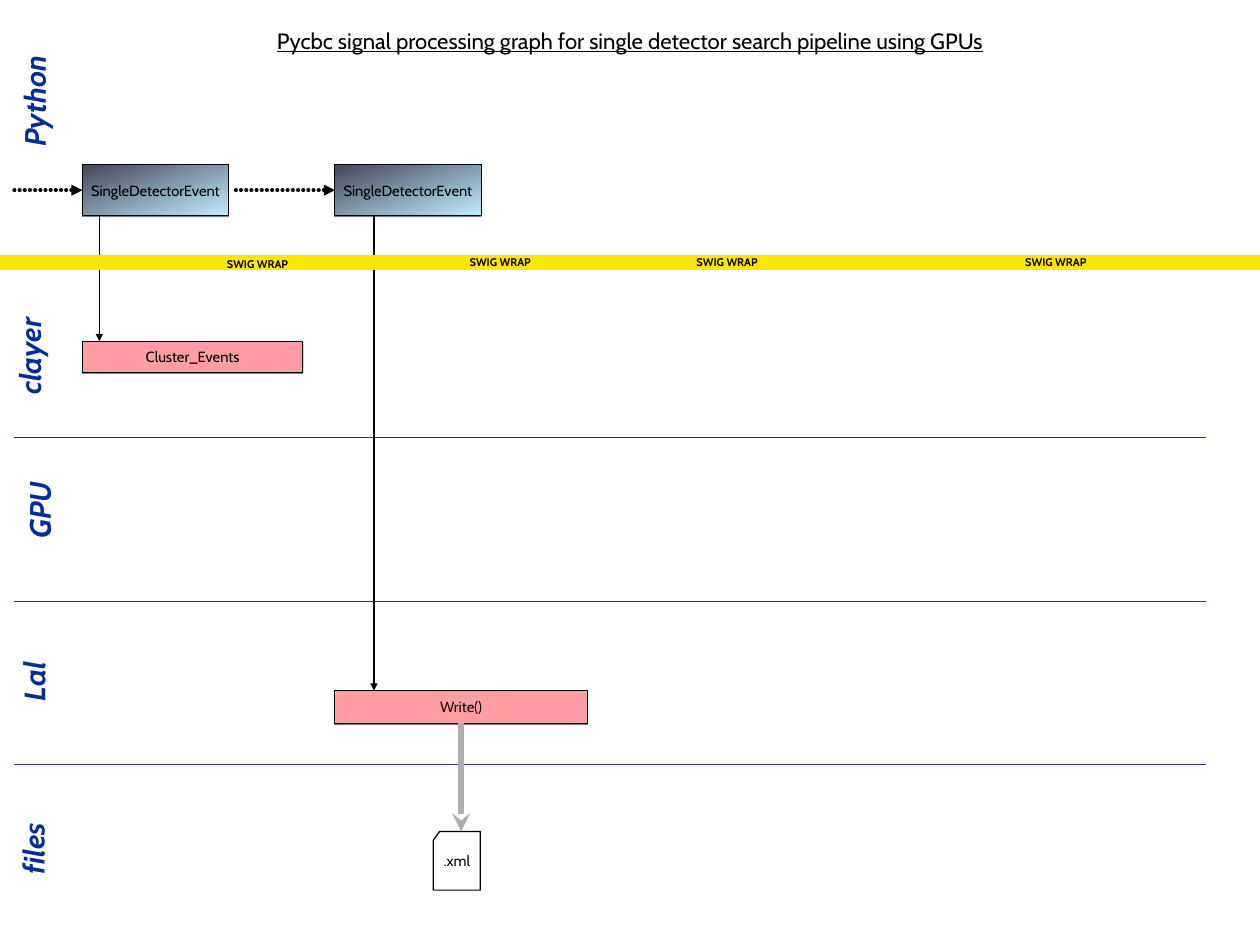
from lxml import etree
from pptx import Presentation
from pptx import util as u
from pptx.dml.color import RGBColor
from pptx.enum import shapes, text
from pptx.oxml import ns

COLS, ROWS = 100, 75


def color(code):
    return RGBColor.from_string(code)


def node(up, tag, **attrs):
    return etree.SubElement(up, ns.qn("a:" + tag), attrs)


class Chart:
    font = "Cabin"
    ink = "000000"
    navy = "002D99"
    rule = "302BB3"
    pink = "FF9CA4"
    grey = "AFAFAF"
    gold = "FFE800"
    fade = ("C0EDFE", "464658")

    def __init__(self, deck):
        self.deck = deck
        self.slide = deck.slides.add_slide(deck.slide_layouts[5])
        self.items = self.slide.shapes

    def x(self, cols):
        return u.Emu(round(self.deck.slide_width * cols / COLS))

    def y(self, rows):
        return u.Emu(round(self.deck.slide_height * rows / ROWS))

    def area(self, left, top, wide, high):
        return self.x(left), self.y(top), self.x(wide), self.y(high)

    def words(self, shape, words, size, tint=ink, anchor=text.MSO_ANCHOR.MIDDLE,
              bold=None, italic=None, under=None):
        frame = shape.text_frame
        frame.auto_size = text.MSO_AUTO_SIZE.NONE
        frame.word_wrap = True
        frame.vertical_anchor = anchor
        frame.margin_left = frame.margin_right = 0
        frame.margin_top = frame.margin_bottom = 0
        para = frame.paragraphs[0]
        para.alignment = text.PP_ALIGN.CENTER
        run = para.add_run()
        run.text = words
        font = run.font
        font.name = self.font
        font.size = u.Pt(size)
        font.color.rgb = color(tint)
        font.bold, font.italic, font.underline = bold, italic, under

    def title(self, words, *area):
        head = self.items.title
        head.left, head.top, head.width, head.height = self.area(*area)
        self.words(head, words, 18, anchor=text.MSO_ANCHOR.BOTTOM, under=True)

    def label(self, words, area, size, tint=ink, turn=0, italic=None):
        box = self.items.add_textbox(*self.area(*area))
        box.rotation = turn
        self.words(box, words, size, tint, bold=True, italic=italic)

    def layer(self, words, mid, row):
        wide, high = 11.25, 3
        self.label(words, (mid - wide / 2, row - high / 2, wide, high),
                   24, self.navy, 270, True)

    def box(self, words, *area, fade=False):
        box = self.items.add_shape(shapes.MSO_SHAPE.RECTANGLE, *self.area(*area))
        if fade:
            box.fill.gradient()
            box.fill.gradient_angle = 110
            for stop, code in zip(box.fill.gradient_stops, self.fade):
                stop.color.rgb = color(code)
        else:
            box.fill.solid()
            box.fill.fore_color.rgb = color(self.pink)
        box.line.color.rgb = color(self.ink)
        box.line.width = u.Pt(0.75)
        box.shadow.inherit = False
        glow = node(box._element.spPr.find(ns.qn("a:effectLst")), "outerShdw",
                    blurRad="0", dist="12700", dir="5400000", rotWithShape="0")
        node(node(glow, "srgbClr", val=self.ink), "alpha", val="50000")
        self.words(box, words, 12)
        return box

    def page(self, words, left, top, wide, high):
        fold, drop = 0.5, 0.7
        right, base = left + wide, top + high
        spots = [(left + fold, top), (right, top), (right, base), (left, base)]
        form = self.items.build_freeform(self.x(left), self.y(top + drop))
        form.add_line_segments([(self.x(a), self.y(b)) for a, b in spots])
        page = form.convert_to_shape()
        page.fill.background()
        page.line.color.rgb = color(self.ink)
        page.line.width = u.Pt(1)
        page.shadow.inherit = False
        self.words(page, words, 12)

    def line(self, start, end, tint, width, head=None, dots=False, source=None, goal=None):
        line = self.items.add_connector(
            shapes.MSO_CONNECTOR.STRAIGHT,
            self.x(start[0]), self.y(start[1]), self.x(end[0]), self.y(end[1]))
        line.line.color.rgb = color(tint)
        line.line.width = u.Pt(width)
        if source:
            line.begin_connect(source, 2)
        if goal:
            line.end_connect(goal, 1)
        props = line._element.spPr
        stroke = props.find(ns.qn("a:ln"))
        if dots:
            stroke.set("cap", "rnd")
            node(node(stroke, "custDash"), "ds", d="10000", sp="130000")
        if head:
            node(stroke, "tailEnd", type=head)
        node(props, "effectLst")


def main():
    deck = Presentation()
    deck.slide_width = u.Inches(14.22)
    deck.slide_height = u.Inches(10.66)
    chart = Chart(deck)
    chart.title("Pycbc signal processing graph for single detector search pipeline using GPUs",
                9.77, 1.34, 80.45, 2.95)

    for step in range(3):
        row = 34.74 + 12.97 * step
        chart.line((1.13, row), (95.71, row), chart.rule, 1)

    for words, mid, row in (("Python", 2.71, 8.02), ("clayer", 2.32, 28.27),
                            ("GPU", 3.1, 40.47), ("Lal", 2.67, 54.08),
                            ("files", 2.6, 67.37)):
        chart.layer(words, mid, row)

    left, right = 6.54, 26.58
    top, high = 13.09, 4.01
    mid, base = top + high / 2, top + high
    for col, start in ((left, 1.13), (right, 18.71)):
        event = chart.box("SingleDetectorEvent", col, top, 11.6, high, fade=True)
        chart.line((start, mid), (col, mid), chart.ink, 3, "triangle", dots=True, goal=event)

    chart.box("Cluster_Events", left, 27.09, 17.51, 2.46)
    save = chart.box("Write()", right, 54.81, 20.04, 2.6)
    for col, end in ((7.88, 27.09), (29.68, 54.81)):
        chart.line((col, base), (col, end), chart.ink, 1, "triangle")

    chart.page(".xml", 34.39, 65.99, 3.73, 4.66)
    chart.line((36.6, 57.41), (36.6, 65.99), chart.grey, 5, "stealth", source=save)

    chart.line((0, 20.82), (COLS, 20.82), chart.gold, 12)
    for col, row in ((13.08, 20.04), (32.35, 19.9), (50.35, 19.9), (76.44, 19.9)):
        chart.label("SWIG WRAP", (col, row, 14.7, 1.76), 9)

    deck.save("out.pptx")


if __name__ == "__main__":
    main()
